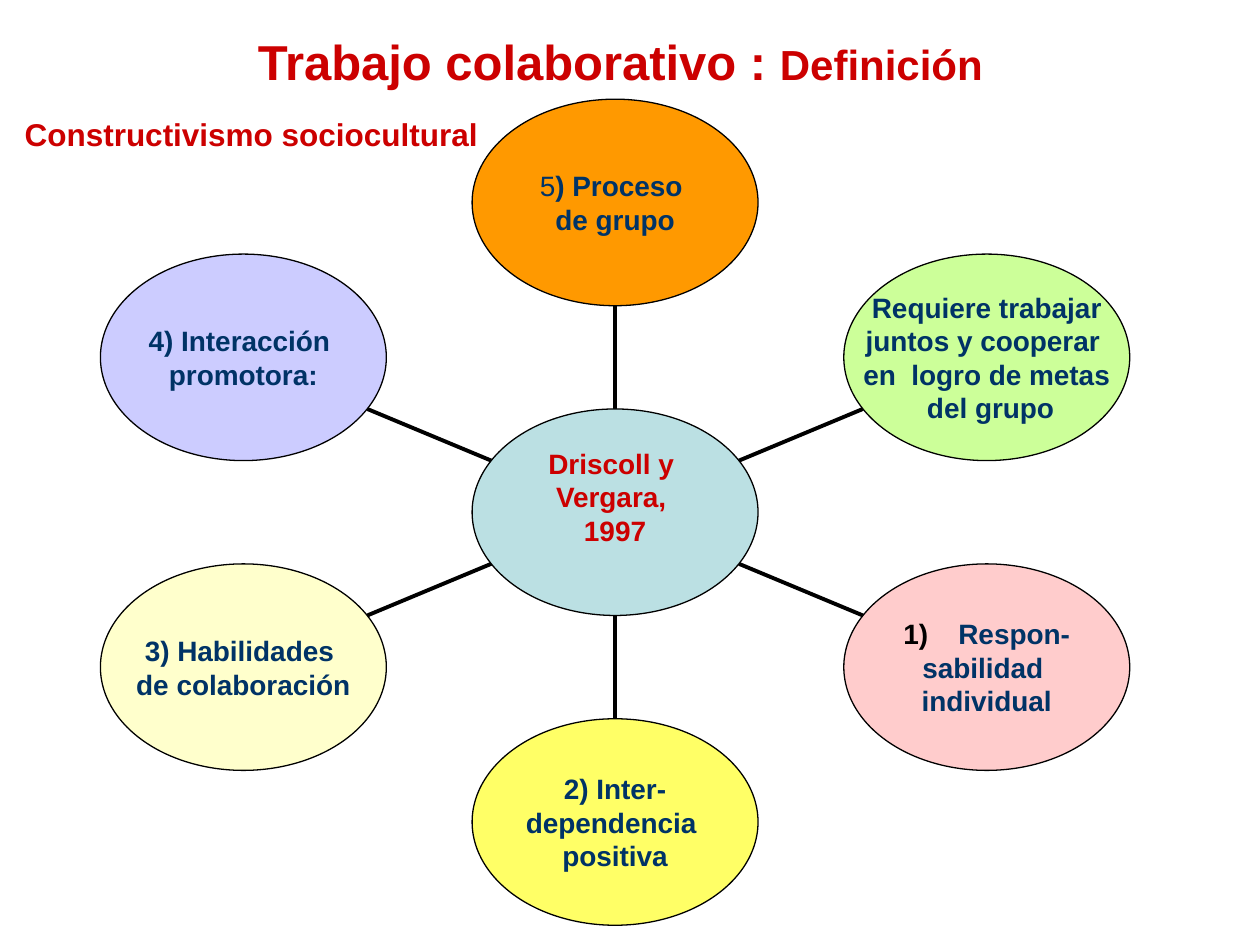
"""Build the collaborative work slide: a centre idea with six linked ellipses."""
from lxml.etree import SubElement
from pptx import Presentation
from pptx.dml.color import RGBColor
from pptx.enum.shapes import MSO_CONNECTOR as CONNECTOR, MSO_SHAPE as SHAPE
from pptx.enum.text import MSO_ANCHOR as ANCHOR, MSO_AUTO_SIZE as AUTO_SIZE, PP_ALIGN as ALIGN
from pptx.oxml.ns import qn
from pptx.util import Pt

RED, NAVY, BLACK = "CC0000", "003366", "000000"
TITLE = [("Trabajo colaborativo : ", 28), ("Definición", 24)]
APPROACH = "Constructivismo sociocultural"
AUTHORS = ["Driscoll y ", "Vergara, ", "1997"]
NUMBERED = " Respon-"
# Each entry: column, row, fill, lines; "|" ends a lighter opening.
IDEAS = [
    (-1, -1, "CCCCFF", ["4) Interacción ", "promotora:"]),
    (-1, 1, "FFFFCC", ["3) Habilidades ", "de colaboración"]),
    (0, 2, "FFFF66", ["2) Inter-", "dependencia ", "positiva"]),
    (1, 1, "FFCCCC", [NUMBERED, "sabilidad ", "individual"]),
    (1, -1, "CCFF99", [" |Requiere trabajar ", "juntos y cooperar ",
                       "en  logro de metas", " del grupo"]),
    (0, -2, "FF9900", ["5|) Proceso ", "de grupo"]),
]
CENTER_X, CENTER_Y = 351.5, 292.7
STEP_X, STEP_Y = 212.4, 88.5
WIDTH, HEIGHT = 163.4, 118


def color(value):
    return RGBColor.from_string(value)


def style(run, size, ink, bold=True):
    run.font.name, run.font.size, run.font.bold = "Arial", Pt(size), bold
    run.font.color.rgb = color(ink)


def add_spoke(column, row):
    dx, dy = column * STEP_X / 3, row * STEP_Y / 3
    spoke = slide.shapes.add_connector(
        CONNECTOR.STRAIGHT, Pt(CENTER_X + dx), Pt(CENTER_Y + dy),
        Pt(CENTER_X + 2 * dx), Pt(CENTER_Y + 2 * dy))
    spoke.line.color.rgb = color(BLACK)
    spoke.line.width = Pt(2.25)
    SubElement(spoke._element.spPr, qn("a:effectLst"))


def add_ellipse(column, row, fill, lines, ink=NAVY, bottom=0):
    ellipse = slide.shapes.add_shape(
        SHAPE.OVAL, Pt(CENTER_X + column * STEP_X - WIDTH / 2),
        Pt(CENTER_Y + row * STEP_Y - HEIGHT / 2), Pt(WIDTH), Pt(HEIGHT))
    ellipse.shadow.inherit = False
    ellipse.fill.solid()
    ellipse.fill.fore_color.rgb = color(fill)
    ellipse.line.color.rgb = color(BLACK)
    ellipse.line.width = Pt(0.75)
    frame = ellipse.text_frame
    frame.word_wrap = False
    frame.vertical_anchor = ANCHOR.MIDDLE
    frame.margin_left = frame.margin_right = frame.margin_top = 0
    frame.margin_bottom = Pt(bottom)
    frame.text = "\n".join(line.split("|")[0] for line in lines)
    for paragraph, line in zip(frame.paragraphs, lines):
        paragraph.alignment = ALIGN.CENTER
        opening, light, rest = line.partition("|")
        style(paragraph.runs[0], 16, ink, bold=not light)
        if light:
            ending = paragraph.add_run()
            ending.text = rest
            style(ending, 16, ink)
    return frame


def number_first(frame):
    for paragraph in frame.paragraphs:
        properties = paragraph._p.get_or_add_pPr()
        properties.set("marL", str(Pt(27)))
        properties.set("indent", str(-Pt(27)))
    properties = frame.paragraphs[0]._p.get_or_add_pPr()
    SubElement(SubElement(properties, qn("a:buClr")), qn("a:srgbClr"), val=BLACK)
    SubElement(properties, qn("a:buFont"), typeface="Arial")
    SubElement(properties, qn("a:buAutoNum"), type="arabicParenR")


deck = Presentation()
deck.slide_width, deck.slide_height = Pt(720), Pt(540)
slide = deck.slides.add_slide(deck.slide_layouts[5])

title = slide.shapes.title
title.left, title.top, title.width, title.height = Pt(54), Pt(18), Pt(601), Pt(50)
heading = title.text_frame
heading.auto_size = AUTO_SIZE.NONE
heading.vertical_anchor = ANCHOR.TOP
heading.margin_top = 0
heading.paragraphs[0].alignment = ALIGN.CENTER
for words, size in TITLE:
    part = heading.paragraphs[0].add_run()
    part.text = words
    style(part, size, RED)

for column, row, fill, lines in IDEAS:
    add_spoke(column, row)
    idea = add_ellipse(column, row, fill, lines)
    if lines[0] == NUMBERED:
        number_first(idea)
add_ellipse(0, 0, "BBE0E3", AUTHORS, RED, bottom=18)

approach = slide.shapes.add_textbox(Pt(7), Pt(62), Pt(278), Pt(29)).text_frame
approach.word_wrap = True
approach.text = APPROACH
style(approach.paragraphs[0].runs[0], 18, RED)

deck.save("out.pptx")
